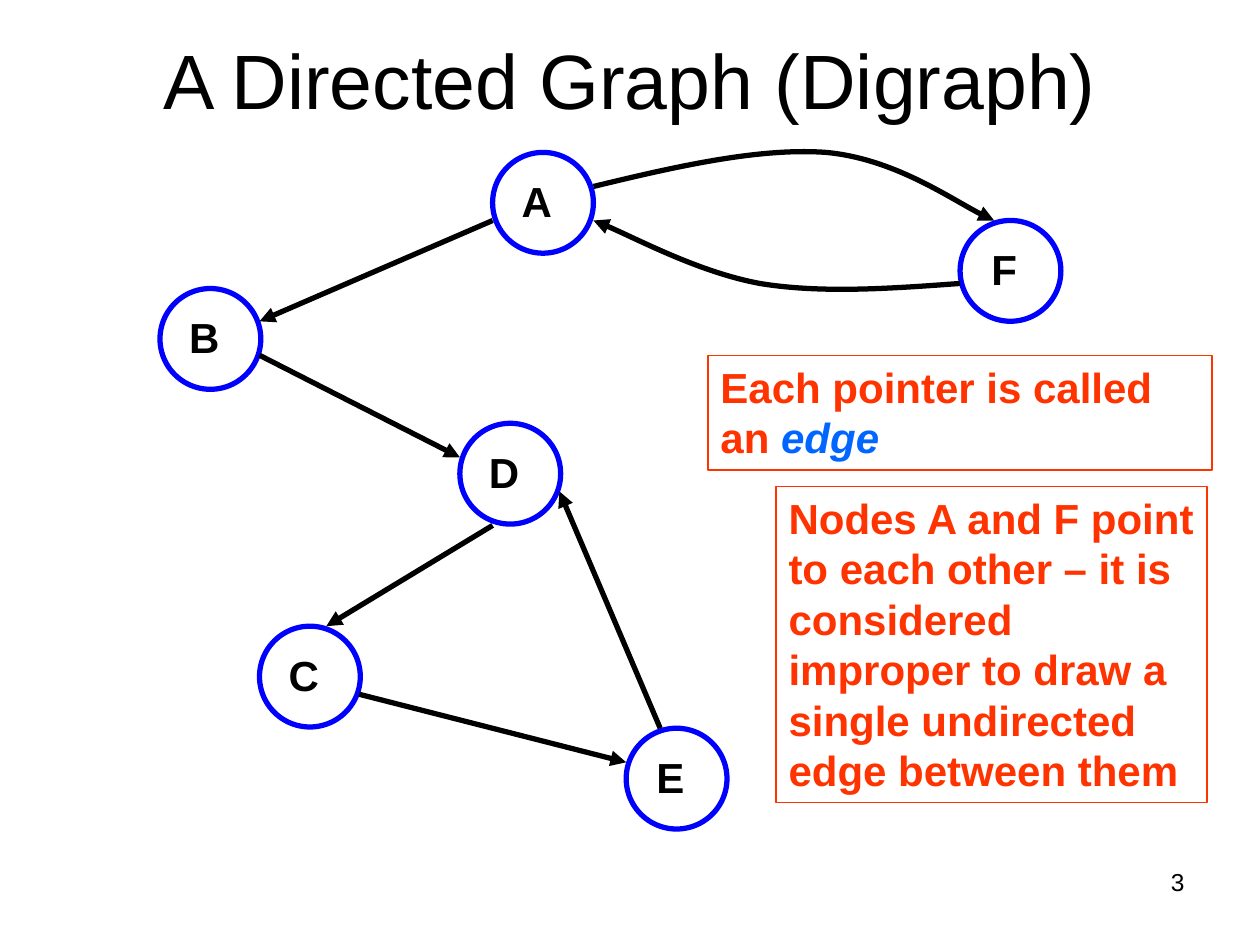
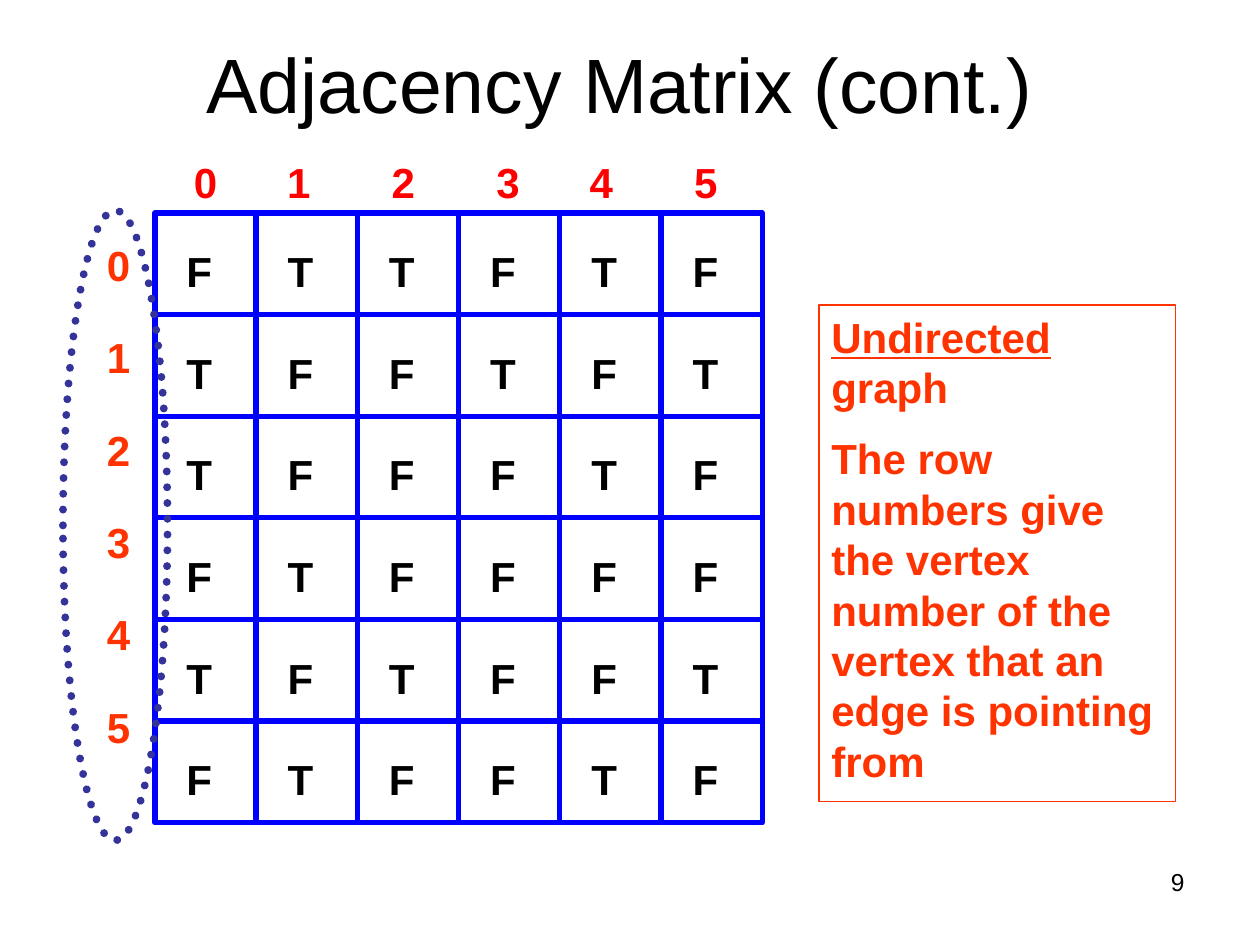
"""Builds two slides about graphs: a digraph drawing and an adjacency matrix."""
from lxml.etree import SubElement
from pptx import Presentation
from pptx.dml.color import RGBColor
from pptx.enum.dml import MSO_LINE
from pptx.enum.shapes import MSO_CONNECTOR, MSO_SHAPE
from pptx.enum.text import MSO_ANCHOR, PP_ALIGN
from pptx.oxml.ns import qn
from pptx.util import Inches, Pt

FONT = "Arial"
BLACK, WHITE, BLUE, ORANGE = "000000", "FFFFFF", "0000FF", "FF3300"
RED, SKY, INDIGO = "FF0000", "0066FF", "333399"
BODY_SIZE, LINE_PITCH = 24, 28.8
TITLE_ONLY = 5

NODE_SIZE = 0.8
NODES = {"A": (3.91, 1.21), "D": (3.65, 3.36), "B": (1.27, 2.29),
         "C": (2.06, 4.97), "E": (4.97, 5.78), "F": (7.62, 1.75)}
STRAIGHT_EDGES = [((3.91, 1.75), (2.06, 2.55)), ((2.06, 2.82), (3.65, 3.63)),
                  ((3.91, 4.17), (2.59, 4.97)), ((2.85, 5.51), (4.97, 6.05)),
                  ((5.24, 5.78), (4.44, 3.9))]
CURVED_EDGES = [
    [(4.71, 1.48), (5.37, 1.32), (6.03, 1.17), (6.56, 1.21),
     (7.09, 1.26), (7.67, 1.66), (7.89, 1.75)],
    [(7.62, 2.25), (7.07, 2.29), (6.52, 2.33), (6.03, 2.25),
     (5.55, 2.16), (4.93, 1.83), (4.71, 1.75)],
]
DIGRAPH_NOTES = [
    ((6.16, 3.86, 3.42, 2.51),
     [[("Nodes A and F point to each other – it is considered improper to draw "
        "a single undirected edge between them", {})]]),
    ((5.62, 2.82, 4, 0.91),
     [[("Each pointer is called an ", {}), ("edge", {"color": SKY, "italic": True})]]),
]

MATRIX = ["FTTFTF", "TFFTFT", "TFFFTF", "FTFFFF", "TFTFFT", "FTFFTF"]
MATRIX_BOX = (1.23, 1.69, 4.82, 4.84)
COLUMN_TABS = [0.74, 1.57, 2.4, 3.14, 3.97]
VERTICES = [str(number) for number in range(len(MATRIX))]
MATRIX_NOTE = (
    (6.5, 2.42, 2.83, 3.94),
    [[("Undirected", {"underline": True}), (" graph", {})],
     [("The row numbers give the vertex number of the vertex that an edge is "
       "pointing from", {})]])


def rgb(code):
    """Turn a hex string into a colour."""
    return RGBColor.from_string(code)


def inches(values):
    """Turn numbers into lengths."""
    return [Inches(value) for value in values]


def style(font, size=BODY_SIZE, color=BLACK, bold=True, italic=None, underline=None):
    """Format one font."""
    font.name, font.size, font.bold = FONT, Pt(size), bold
    font.italic, font.underline = italic, underline
    font.color.rgb = rgb(color)


def write(frame, paragraphs, color=BLACK, align=PP_ALIGN.LEFT, before=0, after=0):
    """Fill a frame with bold paragraphs, each a list of (text, format) spans."""
    frame.word_wrap = True
    for index, spans in enumerate(paragraphs):
        para = frame.add_paragraph() if index else frame.paragraphs[0]
        para.alignment, para.line_spacing = align, Pt(LINE_PITCH)
        para.space_before, para.space_after = Pt(before if index else 0), Pt(after)
        for text, extra in spans:
            span = para.add_run()
            span.text = text
            style(span.font, **{"color": color, **extra})


def outline(shape, color, width, arrow=False):
    """Draw a line and, for an edge, its arrowhead."""
    shape.line.color.rgb, shape.line.width = rgb(color), Pt(width)
    if arrow:
        line = shape.element.find(".//" + qn("a:ln"))
        SubElement(line, qn("a:tailEnd"), type="triangle")


def add_shape(page, kind, place, color, width, fill=None):
    """Add an outlined preset shape without shadow."""
    shape = page.shapes.add_shape(kind, *inches(place))
    shape.shadow.inherit = False
    if fill:
        shape.fill.solid()
        shape.fill.fore_color.rgb = rgb(fill)
    else:
        shape.fill.background()
    outline(shape, color, width)
    return shape


def add_page(deck, title, title_box, number):
    """Add a slide with its title and slide number."""
    page = deck.slides.add_slide(deck.slide_layouts[TITLE_ONLY])
    heading = page.shapes.title
    heading.left, heading.top, heading.width, heading.height = inches(title_box)
    heading.text_frame.text = title
    heading.text_frame.vertical_anchor = MSO_ANCHOR.MIDDLE
    para = heading.text_frame.paragraphs[0]
    para.alignment = PP_ALIGN.CENTER
    style(para.runs[0].font, size=44, bold=False)
    box = page.shapes.add_textbox(*inches((7.17, 6.83, 2.33, 0.52)))
    box.text_frame.word_wrap = True
    box.text_frame.text = number
    para = box.text_frame.paragraphs[0]
    para.alignment = PP_ALIGN.RIGHT
    style(para.runs[0].font, size=14, bold=False)
    return page


def add_note(page, place, paragraphs):
    """Add an orange framed remark."""
    note = add_shape(page, MSO_SHAPE.RECTANGLE, place, ORANGE, 0.75)
    note.text_frame.vertical_anchor = MSO_ANCHOR.TOP
    write(note.text_frame, paragraphs, ORANGE, before=12)


def add_node(page, name, corner):
    """Add a named graph node."""
    node = add_shape(page, MSO_SHAPE.OVAL, (*corner, NODE_SIZE, NODE_SIZE),
                     BLUE, 3, WHITE)
    frame = node.text_frame
    frame.margin_left = frame.margin_top = 0
    frame.margin_right, frame.margin_bottom = Inches(0.1), Inches(0.03)
    frame.vertical_anchor = MSO_ANCHOR.MIDDLE
    write(frame, [[(name, {})]], align=PP_ALIGN.CENTER)


def add_straight_edge(page, start, end):
    """Add a straight arrow."""
    edge = page.shapes.add_connector(MSO_CONNECTOR.STRAIGHT, *inches(start + end))
    outline(edge, BLACK, 3, arrow=True)
    SubElement(edge.element.spPr, qn("a:effectLst"))


def add_curved_edge(page, points):
    """Add an arrow along cubic curves, three points to each curve."""
    start, *rest = [tuple(inches(point)) for point in points]
    builder = page.shapes.build_freeform(*start)
    builder.add_line_segments(rest, close=False)
    edge = builder.convert_to_shape()
    edge.shadow.inherit = False
    edge.fill.background()
    outline(edge, BLACK, 3, arrow=True)
    steps = list(edge.element.iter(qn("a:lnTo")))
    for first in range(0, len(steps), 3):
        curve = SubElement(steps[first].getparent(), qn("a:cubicBezTo"))
        for step in steps[first:first + 3]:
            curve.append(step[0])
            step.getparent().remove(step)


def add_matrix(page):
    """Add the adjacency matrix as a grid of lettered squares."""
    left, top, width, height = MATRIX_BOX
    cell_width, cell_height = width / len(MATRIX), height / len(MATRIX)
    for row, values in enumerate(MATRIX):
        for column, value in enumerate(values):
            place = (left + column * cell_width, top + row * cell_height,
                     cell_width, cell_height)
            cell = add_shape(page, MSO_SHAPE.RECTANGLE, place, BLUE, 3, WHITE)
            frame = cell.text_frame
            frame.vertical_anchor = MSO_ANCHOR.TOP
            frame.margin_left, frame.margin_top = Inches(0.25), Inches(0.26)
            frame.margin_right = frame.margin_bottom = 0
            write(frame, [[(value, {})]])


def add_matrix_labels(page):
    """Add the column numbers on tab stops and the row numbers below each other."""
    columns = page.shapes.add_textbox(*inches((1.44, 1.19, 4.98, 0.66)))
    properties = columns.text_frame.paragraphs[0]._p.get_or_add_pPr()
    tabs = SubElement(properties, qn("a:tabLst"))
    for stop in COLUMN_TABS:
        SubElement(tabs, qn("a:tab"), pos=str(Inches(stop)), algn="l")
    write(columns.text_frame, [[("\t".join(VERTICES), {})]], RED)
    rows = page.shapes.add_textbox(*inches((0.75, 1.85, 0.71, 4.49)))
    write(rows.text_frame, [[(number, {})] for number in VERTICES], ORANGE, after=24)


def build_digraph(deck):
    """Build the directed graph slide."""
    page = add_page(deck, "A Directed Graph (Digraph)", (0.5, 0, 9, 1.25), "3")
    for name, corner in NODES.items():
        add_node(page, name, corner)
    for start, end in STRAIGHT_EDGES:
        add_straight_edge(page, start, end)
    for points in CURVED_EDGES:
        add_curved_edge(page, points)
    for place, paragraphs in DIGRAPH_NOTES:
        add_note(page, place, paragraphs)


def build_adjacency(deck):
    """Build the adjacency matrix slide."""
    page = add_page(deck, "Adjacency Matrix (cont.)", (0.42, 0.16, 9, 1), "9")
    add_matrix(page)
    add_matrix_labels(page)
    ring = add_shape(page, MSO_SHAPE.OVAL, (0.5, 1.67, 0.83, 5), INDIGO, 4.5)
    ring.line.dash_style = MSO_LINE.ROUND_DOT
    ring.element.find(".//" + qn("a:ln")).set("cap", "rnd")
    add_note(page, *MATRIX_NOTE)


def main():
    """Build and save the deck."""
    deck = Presentation()
    deck.slide_width, deck.slide_height = Inches(10), Inches(7.5)
    build_digraph(deck)
    build_adjacency(deck)
    deck.save("out.pptx")


if __name__ == "__main__":
    main()
